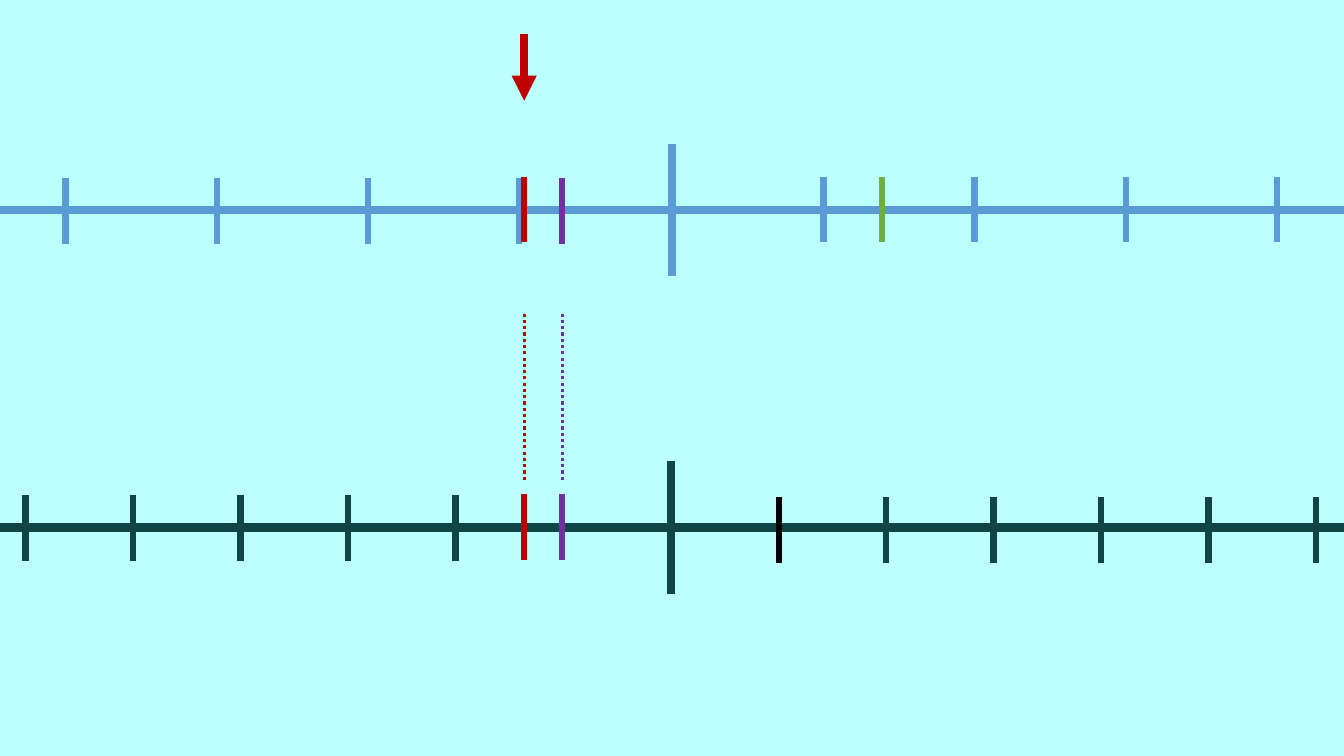
from dataclasses import dataclass

from lxml.etree import SubElement
from pptx import Presentation
from pptx.dml.color import RGBColor
from pptx.enum.dml import MSO_LINE_DASH_STYLE as Dash
from pptx.enum.shapes import MSO_CONNECTOR as Connector
from pptx.oxml.ns import qn
from pptx.util import Cm, Pt


@dataclass(frozen=True)
class Theme:
    """Colours and line widths of the slide."""
    background: str = "BBFFFF"
    upper: str = "5B9BD5"
    lower: str = "114444"
    unit: str = "000000"
    red: str = "C00000"
    purple: str = "7030A0"
    green: str = "70AD47"
    heavy: float = 6
    medium: float = 4.5
    fine: float = 2.25


THEME = Theme()
TICK_LENGTH = 1.66
AXIS_START, AXIS_END = -5.98, 39.78
RED_X, PURPLE_X, GREEN_X = 13.21, 14.17, 22.22


def add_line(slide, start, end, color, width):
    """Draw a straight line between two points given in centimetres."""
    line = slide.shapes.add_connector(Connector.STRAIGHT, *map(Cm, start + end))
    line.line.color.rgb = RGBColor.from_string(color)
    line.line.width = Pt(width)
    SubElement(line._element.spPr, qn("a:effectLst"))
    return line


def add_tick(slide, x, top, color):
    """Draw one short vertical mark."""
    add_line(slide, (x, top), (x, top + TICK_LENGTH), color, THEME.medium)


def add_ticks(slide, first_x, step, count, top, color):
    """Draw evenly spaced marks."""
    for index in range(count):
        add_tick(slide, first_x + index * step, top, color)


def add_axis(slide, y, origin_x, color):
    """Draw a number line with a tall mark at its origin."""
    add_line(slide, (AXIS_START, y), (AXIS_END, y), color, THEME.heavy)
    add_line(slide, (origin_x, y - 1.67), (origin_x, y + 1.67), color, THEME.heavy)


def add_guide(slide, x, color):
    """Draw a dotted line linking matching marks on the two axes."""
    guide = add_line(slide, (x, 12.09), (x, 7.92), color, THEME.fine)
    guide.line.dash_style = Dash.ROUND_DOT


def add_arrow(slide, x, top, bottom, color):
    """Draw a downward arrow."""
    arrow = add_line(slide, (x, top), (x, bottom), color, THEME.heavy)
    SubElement(arrow.line._get_or_add_ln(), qn("a:tailEnd"), type="triangle")


def main():
    """Build the slide with two number lines and save it."""
    deck = Presentation()
    deck.slide_width, deck.slide_height = Cm(33.87), Cm(19.05)
    slide = deck.slides.add_slide(deck.slide_layouts[6])
    backdrop = slide.background.fill
    backdrop.solid()
    backdrop.fore_color.rgb = RGBColor.from_string(THEME.background)

    add_axis(slide, 5.29, 16.94, THEME.upper)
    add_ticks(slide, 20.75, 3.81, 4, 4.45, THEME.upper)
    add_ticks(slide, 1.65, 3.81, 4, 4.49, THEME.upper)

    add_axis(slide, 13.29, 16.91, THEME.lower)
    add_tick(slide, 19.63, 12.52, THEME.unit)
    add_ticks(slide, 22.33, 2.71, 5, 12.52, THEME.lower)
    add_ticks(slide, 0.64, 2.71, 5, 12.48, THEME.lower)

    add_tick(slide, GREEN_X, 4.45, THEME.green)
    for x, upper_top, color in (
        (PURPLE_X, 4.49, THEME.purple),
        (RED_X, 4.45, THEME.red),
    ):
        add_tick(slide, x, upper_top, color)
        add_tick(slide, x, 12.46, color)
        add_guide(slide, x, color)
    add_arrow(slide, RED_X, 0.85, 2.54, THEME.red)

    deck.save("out.pptx")


if __name__ == "__main__":
    main()
